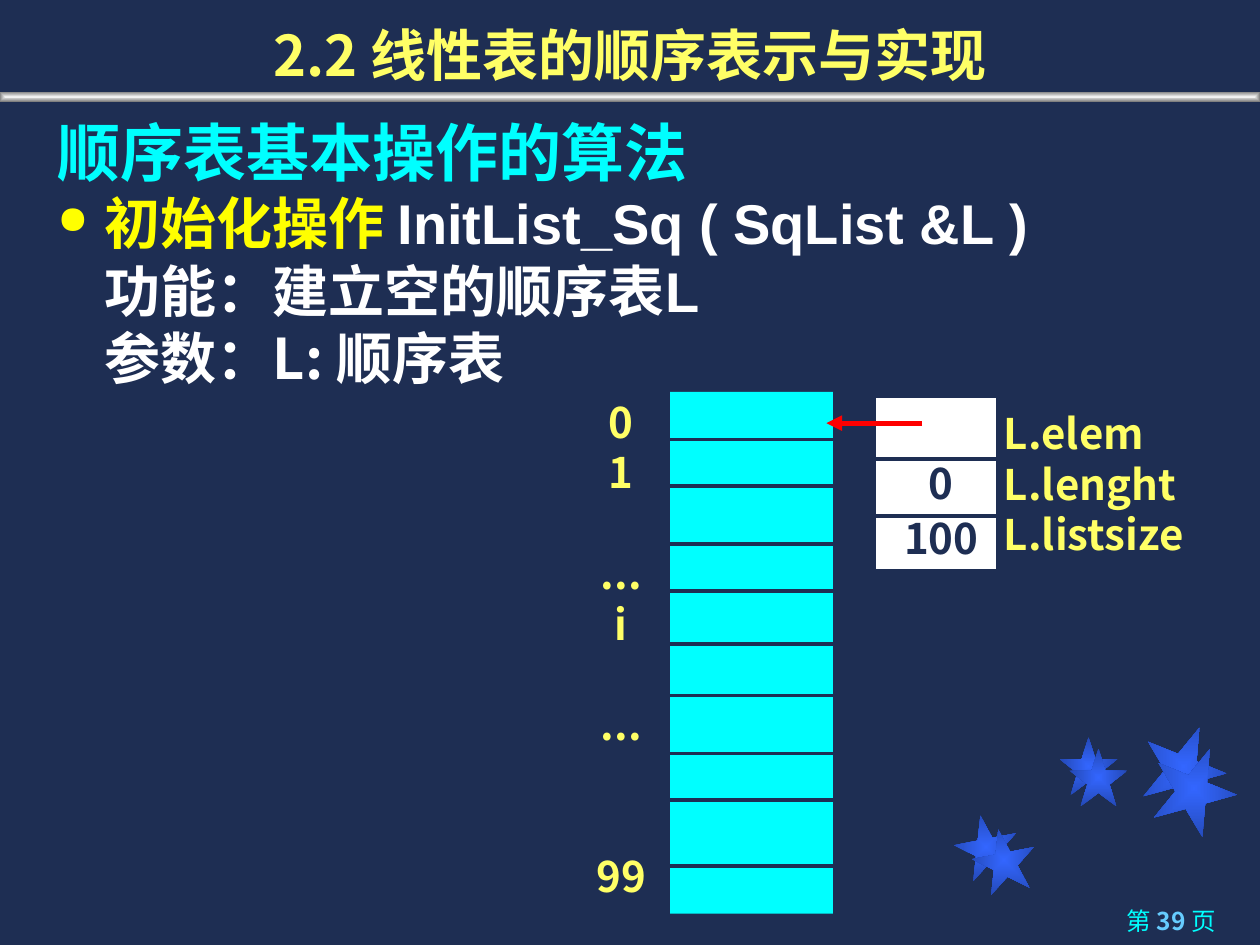
from pptx import Presentation
from pptx.dml.color import RGBColor
from pptx.enum.shapes import MSO_CONNECTOR, MSO_SHAPE
from pptx.enum.text import MSO_ANCHOR, PP_ALIGN
from pptx.oxml import parse_xml
from pptx.oxml.ns import nsdecls, qn
from pptx.util import Cm, Pt

NAVY, CYAN, WHITE, RED = "1E2E53", "00FFFF", "FFFFFF", "FF0000"
YELLOW, PALE_YELLOW, SKY = "FFFF00", "FFFF66", "66CCFF"
CJK, LATIN = "Noto Sans CJK SC", "Arial"


def rgb(hex_color):
    return RGBColor.from_string(hex_color)


def element(xml):
    """Parse one DrawingML tag, written without its namespace declaration."""
    tag, rest = xml.split(" ", 1)
    return parse_xml(f"{tag} {nsdecls('a')} {rest}")


class SlideBuilder:
    def __init__(self, slide):
        self.slide = slide
        background = slide.background.fill
        background.solid()
        background.fore_color.rgb = rgb(NAVY)

    def run(self, paragraph, text, color, size=24, font=CJK, bold=True):
        run = paragraph.add_run()
        run.text = text
        run.font.size, run.font.bold, run.font.name = Pt(size), bold, font
        run.font.color.rgb = rgb(color)
        run.font._element.find(qn("a:latin")).addnext(
            element(f'<a:ea typeface="{CJK}"/>'))

    def title(self, text, box):
        title = self.slide.shapes.title
        title.left, title.top, title.width, title.height = map(Cm, box)
        title.text_frame.vertical_anchor = MSO_ANCHOR.BOTTOM
        paragraph = title.text_frame.paragraphs[0]
        paragraph.alignment = PP_ALIGN.CENTER
        self.run(paragraph, text, PALE_YELLOW, 32)

    def text(self, box, count, align=PP_ALIGN.LEFT):
        """Add a text box and return its paragraphs, ready for runs."""
        frame = self.slide.shapes.add_textbox(*map(Cm, box)).text_frame
        frame.word_wrap = True
        for _ in range(count - 1):
            frame.add_paragraph()
        for paragraph in frame.paragraphs:
            paragraph.alignment = align
        return frame.paragraphs

    def indent(self, paragraph, left, hanging=0, bullet=None, color=None):
        properties = paragraph._p.get_or_add_pPr()
        properties.set("marL", str(Cm(left)))
        properties.set("indent", str(-Cm(hanging)))
        if bullet:
            properties.append(element(
                f'<a:buClr ><a:srgbClr val="{color}"/></a:buClr>'))
            properties.append(element('<a:buSzPct val="70000"/>'))
            properties.append(element(f'<a:buChar char="{bullet}"/>'))
        else:
            properties.append(element("<a:buNone />"))

    def shape(self, kind, box, fill, line=None, rotation=0):
        shape = self.slide.shapes.add_shape(kind, *map(Cm, box))
        shape.shadow.inherit = False
        shape.rotation = rotation
        if isinstance(fill, tuple):
            self.radiate(shape, *fill)
        else:
            shape.fill.solid()
            shape.fill.fore_color.rgb = rgb(fill)
        if line:
            shape.line.color.rgb = rgb(line)
            shape.line.width = Pt(2.25)
        else:
            shape.line.fill.background()

    def radiate(self, shape, center, edge):
        """Fill the shape with a gradient from its centre outwards."""
        shape.fill.gradient()
        for stop, color in zip(shape.fill.gradient_stops, (center, edge)):
            stop.color.rgb = rgb(color)
        linear = shape._element.spPr.find(qn("a:gradFill")).find(qn("a:lin"))
        linear.addnext(element(
            '<a:path path="shape"><a:fillToRect l="50000" t="50000" '
            'r="50000" b="50000"/></a:path>'))
        linear.getparent().remove(linear)

    def line(self, start, end, y, color=NAVY, width=2.25, arrow=False):
        line = self.slide.shapes.add_connector(
            MSO_CONNECTOR.STRAIGHT, Cm(start), Cm(y), Cm(end), Cm(y))
        line.line.color.rgb = rgb(color)
        line.line.width = Pt(width)
        if arrow:
            line.line._get_or_add_ln().append(
                element('<a:tailEnd type="triangle"/>'))
        line._element.spPr.append(element("<a:effectLst />"))


def draw_frame(builder):
    stars = [
        (19.25, 16.43, 1.27, 349), (21.36, 14.86, 1.17, 0),
        (23.01, 14.61, 1.7, 22), (19.61, 16.71, 1.27, 349),
        (21.56, 15.09, 1.17, 0), (23.22, 15.04, 1.7, 22),
    ]
    for left, top, size, rotation in stars:
        builder.shape(MSO_SHAPE.STAR_5_POINT, (left, top, size, size),
                      ("3366FF", "2449B6"), rotation=rotation)
    builder.shape(MSO_SHAPE.RECTANGLE, (0, 1.85, 25.4, 0.2),
                  ("F2F2F2", "808080"))
    page, = builder.text((18.08, 18.14, 6.68, 0.91), 1, PP_ALIGN.RIGHT)
    builder.run(page, "第 ", CYAN, 14, bold=False)
    builder.run(page, "39 ", SKY, 14)
    builder.run(page, "页", CYAN, 14, bold=False)


def write_description(builder):
    heading, operation, purpose, parameter = builder.text(
        (0.91, 2.16, 23.77, 5.99), 4)
    builder.indent(heading, 0.95, hanging=0.95)
    builder.run(heading, "顺序表基本操作的算法", CYAN, 36, LATIN)
    builder.indent(operation, 0.95, hanging=0.95, bullet="●", color=YELLOW)
    builder.run(operation, "初始化操作 ", YELLOW, 32, LATIN)
    builder.run(operation, "InitList_Sq ( SqList &L )", WHITE, 32, LATIN)
    builder.indent(purpose, 0.95)
    builder.run(purpose, "功能：建立空的顺序表L", WHITE, 32, LATIN)
    builder.indent(parameter, 0.95)
    builder.run(parameter, "参数：", WHITE, 32, LATIN)
    builder.run(parameter, "L: 顺序表", WHITE, 32)


def draw_array(builder):
    left, width = 13.51, 3.28
    builder.shape(MSO_SHAPE.RECTANGLE, (left, 7.9, width, 10.52), CYAN)
    for y in (8.86, 9.8, 10.97, 11.91, 12.98, 14.02, 15.19, 16.13, 17.45):
        builder.line(left, left + width, y)

    line_height = 28.8
    indices = [("0", 0), ("1", 0), ("...", 1), ("i", 0), ("...", 1), ("99", 2)]
    paragraphs = builder.text((11.46, 7.87, 2.13, 10.41), len(indices),
                              PP_ALIGN.CENTER)
    for paragraph, (index, skipped) in zip(paragraphs, indices):
        if skipped:
            paragraph.space_before = Pt(skipped * line_height)
        builder.run(paragraph, index, PALE_YELLOW)


def draw_list_record(builder):
    fields = ["L.elem", "L.lenght", "L.listsize"]
    for paragraph, field in zip(
            builder.text((19.99, 8.1, 5.08, 3.3), len(fields)), fields):
        builder.run(paragraph, field, PALE_YELLOW)

    left, width = 17.63, 2.49
    builder.shape(MSO_SHAPE.RECTANGLE, (left, 7.98, width, 3.53), WHITE, NAVY)
    for y in (9.25, 10.41):
        builder.line(left, left + width, y)
    values = ["0", "100"]
    for paragraph, value in zip(
            builder.text((left, 8.99, 2.69, 2.49), len(values),
                         PP_ALIGN.CENTER), values):
        paragraph.line_spacing = 1.1
        builder.run(paragraph, value, NAVY)
    builder.line(18.59, 16.66, 8.53, RED, 3, arrow=True)


def main():
    presentation = Presentation()
    presentation.slide_width, presentation.slide_height = Cm(25.4), Cm(19.05)
    title_only = presentation.slide_layouts[5]
    builder = SlideBuilder(presentation.slides.add_slide(title_only))
    draw_frame(builder)
    builder.title("2.2 线性表的顺序表示与实现", (0, 0, 25.4, 1.9))
    write_description(builder)
    draw_array(builder)
    draw_list_record(builder)
    presentation.save("out.pptx")


if __name__ == "__main__":
    main()
